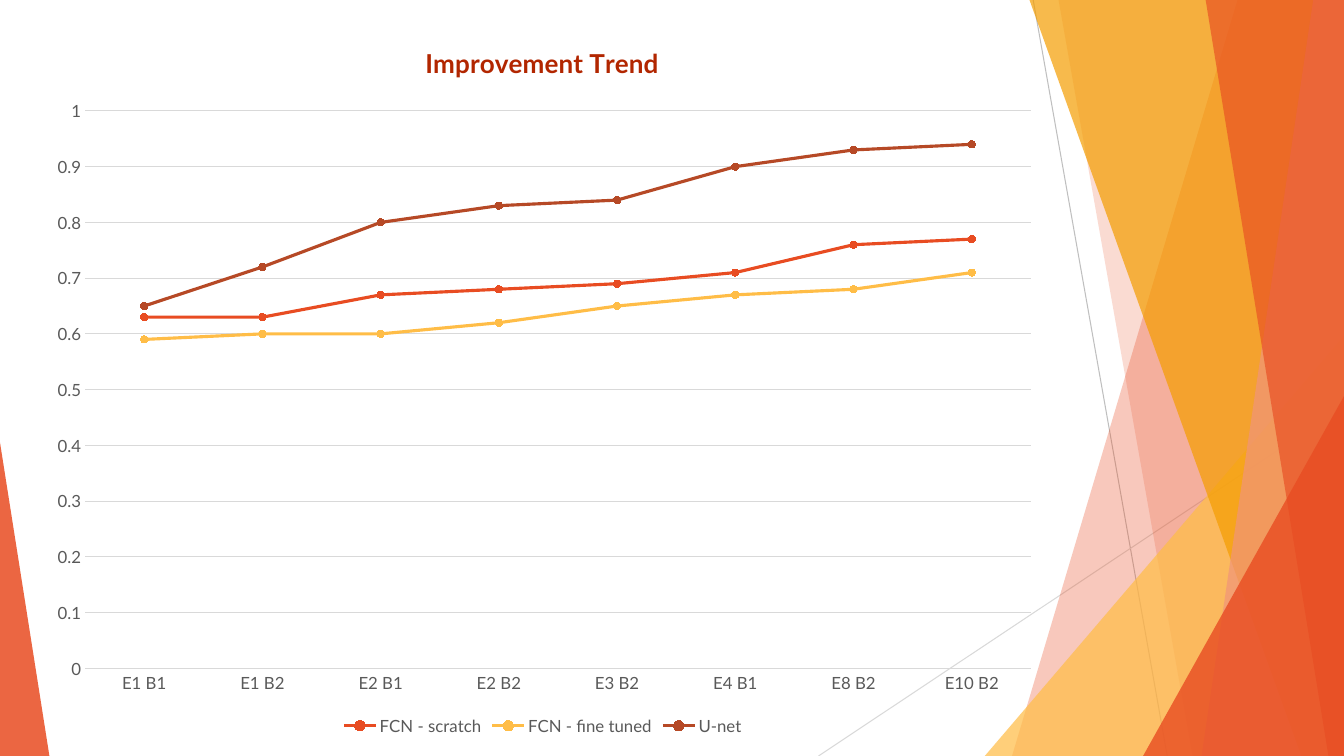
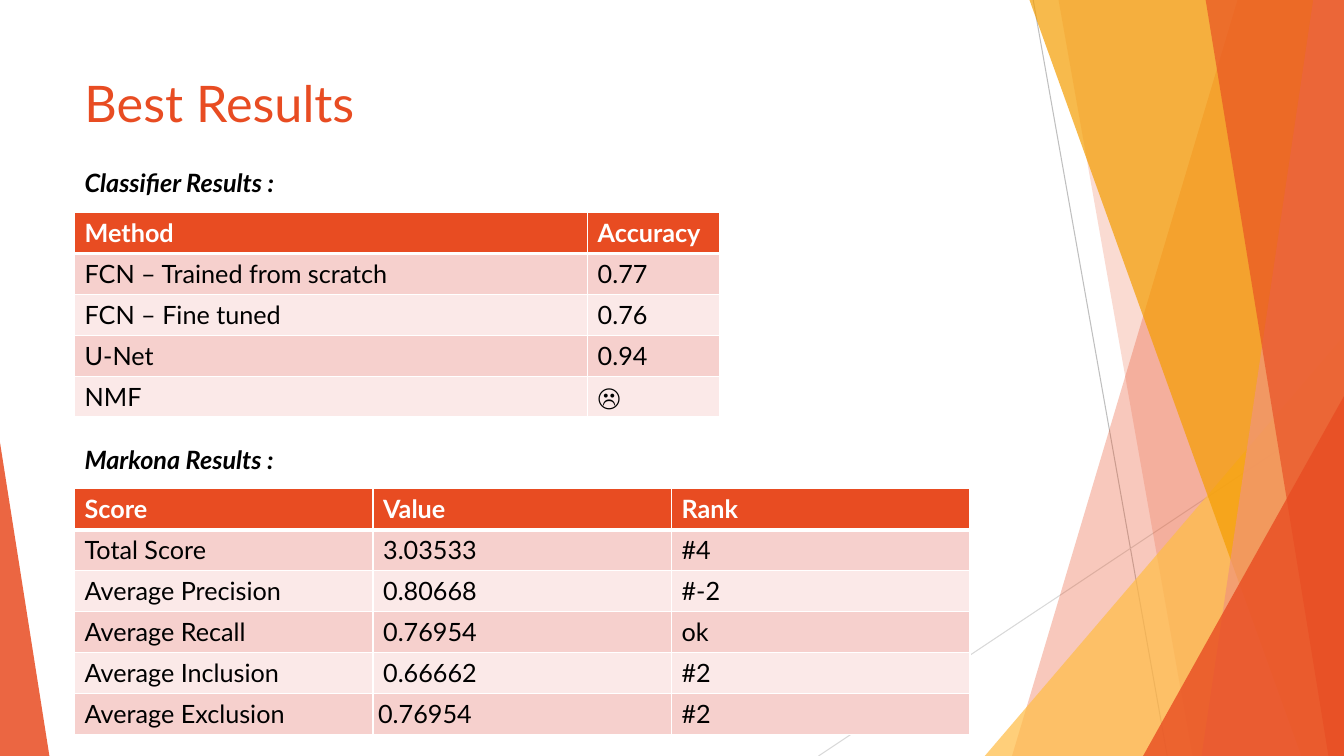
from dataclasses import dataclass

from lxml import etree
from pptx import Presentation
from pptx import util as u
from pptx.chart.chart import Chart
from pptx.chart.data import CategoryChartData
from pptx.dml.color import RGBColor
from pptx.enum import chart as ch
from pptx.enum import shapes, text
from pptx.oxml.ns import qn
from pptx.shapes.base import BaseShape
from pptx.slide import Slide
from pptx.table import _Cell

Pt = u.Pt

ORANGE = RGBColor(0xE8, 0x4C, 0x22)
YELLOW = RGBColor(0xFF, 0xBD, 0x47)
AMBER = RGBColor(0xF4, 0x9D, 0x00)
SALMON = RGBColor(0xF1, 0x94, 0x7A)
RUST = RGBColor(0xB6, 0x49, 0x26)
BRICK = RGBColor(0xB2, 0x26, 0x00)
ROW_DARK = RGBColor(0xF6, 0xD0, 0xCD)
ROW_LIGHT = RGBColor(0xFB, 0xE9, 0xE8)
WHITE = RGBColor(0xFF, 0xFF, 0xFF)
BLACK = RGBColor(0, 0, 0)
LABEL_GREY = RGBColor(0x59, 0x59, 0x59)
MID_GREY = RGBColor(0xBF, 0xBF, 0xBF)
PALE_GREY = RGBColor(0xD9, 0xD9, 0xD9)

FONT = "Lato"
WIDTH, HEIGHT = 960, 540
BAND_TOP = -0.72
MARGIN = 53.28
ROW_HEIGHT = 29.2


@dataclass(frozen=True)
class Ray:
    """A thin line across the background."""
    start: tuple[float, float]
    end: tuple[float, float]
    colour: RGBColor


@dataclass(frozen=True)
class Band:
    """A full-height strip that runs from a slanted left edge to the right edge."""
    top_x: float
    bottom_x: float
    colour: RGBColor
    opacity: int


@dataclass(frozen=True)
class Wedge:
    """A triangle on the bottom edge, its apex at the left (0) or right (1)."""
    left: float
    width: float
    height: float
    apex: float
    colour: RGBColor
    opacity: int


@dataclass(frozen=True)
class ResultTable:
    """A table of results with the caption above it."""
    caption: str
    caption_top: float
    top: float
    widths: tuple[float, ...]
    rows: tuple[tuple[str, ...], ...]


@dataclass(frozen=True)
class Trend:
    """The accuracy of one method over the training steps."""
    method: str
    colour: RGBColor
    accuracy: tuple[float, ...]


RAYS = (
    Ray((738, 0), (833.76, HEIGHT), MID_GREY),
    Ray((WIDTH, 290.16), (584.64, HEIGHT), PALE_GREY),
)
FACETS = (
    Band(884.16, 722.88, ORANGE, 30),
    Band(756, 851.76, ORANGE, 20),
    Wedge(703.44, 256.56, 300.24, 1, YELLOW, 72),
    Band(735.12, 929.52, AMBER, 70),
    Band(938.16, 858.24, SALMON, 70),
    Band(861.12, 948.96, ORANGE, 65),
    Wedge(816.48, 143.52, 257.04, 1, ORANGE, 80),
    Wedge(0, 35.28, 223.92, 0, ORANGE, 85),
)
STEPS = ("E1 B1", "E1 B2", "E2 B1", "E2 B2", "E3 B2", "E4 B1", "E8 B2", "E10 B2")
TRENDS = (
    Trend("FCN - scratch", ORANGE, (0.63, 0.63, 0.67, 0.68, 0.69, 0.71, 0.76, 0.77)),
    Trend("FCN - fine tuned", YELLOW, (0.59, 0.6, 0.6, 0.62, 0.65, 0.67, 0.68, 0.71)),
    Trend("U-net", RUST, (0.65, 0.72, 0.8, 0.83, 0.84, 0.9, 0.93, 0.94)),
)
CLASSIFIER = ResultTable(
    "Classifier Results :", 115.92, 151.92, (366.48, 94.32),
    (
        ("Method", "Accuracy"),
        ("FCN – Trained from scratch", "0.77"),
        ("FCN – Fine tuned", "0.76"),
        ("U-Net", "0.94"),
        ("NMF", "☹"),
    ),
)
GRADING = ResultTable(
    "Markona Results :", 313.92, 349.2, (213.2,) * 3,
    (
        ("Score", "Value", "Rank"),
        ("Total Score", "3.03533", "#4"),
        ("Average Precision", "0.80668", "#-2"),
        ("Average Recall", "0.76954", "ok"),
        ("Average Inclusion", "0.66662", "#2"),
        ("Average Exclusion", "0.76954", "#2"),
    ),
)


def style_font(font, size: float, colour: RGBColor, bold: bool = False,
               italic: bool = False) -> None:
    """Apply the deck's typeface with a size, colour and weight."""
    font.name, font.size = FONT, Pt(size)
    font.bold, font.italic = bold, italic
    font.color.rgb = colour


def paint(shape: BaseShape, colour: RGBColor, opacity: int) -> None:
    """Give a shape a translucent fill with no line or shadow."""
    shape.shadow.inherit = False
    shape.line.fill.background()
    shape.fill.solid()
    shape.fill.fore_color.rgb = colour
    fill_colour = shape.element.xpath("./p:spPr/a:solidFill/a:srgbClr")[0]
    etree.SubElement(fill_colour, qn("a:alpha"), val=str(opacity * 1000))


def draw_ray(slide: Slide, ray: Ray) -> None:
    """Draw one background line."""
    line = slide.shapes.add_connector(
        shapes.MSO_CONNECTOR.STRAIGHT, *map(Pt, ray.start + ray.end))
    line.line.color.rgb = ray.colour
    line.line.width = Pt(0.75)
    etree.SubElement(line.element.spPr, qn("a:effectLst"))


def draw_band(slide: Slide, band: Band) -> None:
    """Draw one slanted strip."""
    outline = slide.shapes.build_freeform(Pt(band.top_x), Pt(BAND_TOP))
    corners = ((WIDTH, BAND_TOP), (WIDTH, HEIGHT), (band.bottom_x, HEIGHT))
    outline.add_line_segments([(Pt(x), Pt(y)) for x, y in corners], close=True)
    paint(outline.convert_to_shape(), band.colour, band.opacity)


def draw_wedge(slide: Slide, wedge: Wedge) -> None:
    """Draw one triangle standing on the bottom edge."""
    triangle = slide.shapes.add_shape(
        shapes.MSO_SHAPE.ISOSCELES_TRIANGLE, Pt(wedge.left),
        Pt(HEIGHT - wedge.height), Pt(wedge.width), Pt(wedge.height))
    triangle.adjustments[0] = wedge.apex
    paint(triangle, wedge.colour, wedge.opacity)


def add_faceted_slide(deck: Presentation) -> Slide:
    """Add a blank slide with the shared background."""
    slide = deck.slides.add_slide(deck.slide_layouts[6])
    for ray in RAYS:
        draw_ray(slide, ray)
    for facet in FACETS:
        if isinstance(facet, Band):
            draw_band(slide, facet)
        else:
            draw_wedge(slide, facet)
    return slide


def add_text(slide: Slide, words: str, top: float, width: float, height: float,
             size: float, colour: RGBColor, strong: bool = False) -> None:
    """Add one line of text at the left margin, bold italic when strong."""
    frame = slide.shapes.add_textbox(
        Pt(MARGIN), Pt(top), Pt(width), Pt(height)).text_frame
    frame.word_wrap = True
    frame.text = words
    style_font(frame.paragraphs[0].font, size, colour, strong, strong)


def add_borders(cell: _Cell, top: float, bottom: float) -> None:
    """Rule a cell in white, one point at the sides."""
    properties = cell._tc.get_or_add_tcPr()
    for side, weight in (("L", 1), ("R", 1), ("T", top), ("B", bottom)):
        line = etree.SubElement(properties, qn(f"a:ln{side}"), w=str(Pt(weight)))
        fill = etree.SubElement(line, qn("a:solidFill"))
        etree.SubElement(fill, qn("a:srgbClr"), val=str(WHITE))


def draw_results(slide: Slide, results: ResultTable) -> None:
    """Draw a captioned table with a solid header and banded rows."""
    rows, widths = results.rows, results.widths
    table = slide.shapes.add_table(
        len(rows), len(widths), Pt(MARGIN), Pt(results.top),
        Pt(sum(widths)), Pt(ROW_HEIGHT * len(rows))).table
    for column, width in zip(table.columns, widths):
        column.width = Pt(width)
    for r, values in enumerate(rows):
        table.rows[r].height = Pt(ROW_HEIGHT)
        header = r == 0
        band = ORANGE if header else ROW_DARK if r % 2 else ROW_LIGHT
        for c, value in enumerate(values):
            cell = table.cell(r, c)
            cell.text = value
            style_font(cell.text_frame.paragraphs[0].font, 18,
                       WHITE if header else BLACK, header)
            add_borders(cell, 3 if r == 1 else 1, 3 if header else 1)
            cell.fill.solid()
            cell.fill.fore_color.rgb = band
    add_text(slide, results.caption, results.caption_top, 170, 28.8, 18, BLACK, True)
    if results is GRADING:
        exclusion = table.cell(len(rows) - 1, 1)
        exclusion.vertical_anchor = text.MSO_ANCHOR.MIDDLE
        exclusion.margin_left = exclusion.margin_right = Pt(3.6)


def place(part, inner: bool = False, **fractions: float) -> None:
    """Fix a chart part at fractions of the chart area."""
    layout = part.find(qn("c:layout"))
    if layout is None:
        layout = part.makeelement(qn("c:layout"), {})
        tx = part.find(qn("c:tx"))
        part.insert(0 if tx is None else 1, layout)
    manual = etree.SubElement(layout, qn("c:manualLayout"))
    if inner:
        etree.SubElement(manual, qn("c:layoutTarget"), val="inner")
    for axis in "xy":
        etree.SubElement(manual, qn(f"c:{axis}Mode"), val="edge")
    for name, fraction in fractions.items():
        etree.SubElement(manual, qn(f"c:{name}"), val=str(fraction))


def style_axes(chart: Chart) -> None:
    """Set the scale, labels and gridlines of both axes."""
    steps, accuracy = chart.category_axis, chart.value_axis
    for axis in (steps, accuracy):
        axis.major_tick_mark = axis.minor_tick_mark = ch.XL_TICK_MARK.NONE
        style_font(axis.tick_labels.font, 12, LABEL_GREY)
    accuracy.minimum_scale, accuracy.maximum_scale = 0, 1
    accuracy.major_unit = 0.1
    accuracy.tick_labels.number_format = "General"
    accuracy.tick_labels.number_format_is_linked = False
    accuracy.format.line.fill.background()
    for line in (steps.format.line, accuracy.major_gridlines.format.line):
        line.color.rgb = PALE_GREY
        line.width = Pt(0.75)


def draw_trends(slide: Slide) -> None:
    """Draw the line chart of accuracy per method."""
    data = CategoryChartData()
    data.categories = STEPS
    for trend in TRENDS:
        data.add_series(trend.method, trend.accuracy)
    chart = slide.shapes.add_chart(
        ch.XL_CHART_TYPE.LINE_MARKERS, Pt(24.48), Pt(18), Pt(726.48), Pt(510.48),
        data).chart
    style_font(chart.font, 10, BLACK)
    chart.plots[0].vary_by_categories = False
    for series, trend in zip(chart.plots[0].series, TRENDS):
        series.smooth = False
        series.format.line.color.rgb = trend.colour
        series.format.line.width = Pt(2.25)
        series.marker.style = ch.XL_MARKER_STYLE.CIRCLE
        series.marker.size = 5
        series.marker.format.fill.solid()
        series.marker.format.fill.fore_color.rgb = trend.colour
        series.marker.format.line.color.rgb = trend.colour
    style_axes(chart)
    chart.has_legend = True
    chart.legend.position = ch.XL_LEGEND_POSITION.BOTTOM
    chart.legend.include_in_layout = False
    style_font(chart.legend.font, 12, LABEL_GREY)
    heading = chart.chart_title.text_frame
    heading.text = "Improvement Trend"
    style_font(heading.paragraphs[0].font, 18.6, BRICK, True)
    place(chart.element.xpath("./c:chart/c:title")[0], x=0.38, y=0.02)
    place(chart.element.xpath("./c:chart/c:plotArea")[0], True,
          x=0.05, y=0.12, w=0.93, h=0.78)


deck = Presentation()
deck.slide_width, deck.slide_height = Pt(WIDTH), Pt(HEIGHT)

draw_trends(add_faceted_slide(deck))

best_results = add_faceted_slide(deck)
add_text(best_results, "Best Results", 48.24, 676.8, 103.68, 36, ORANGE)
for results in (CLASSIFIER, GRADING):
    draw_results(best_results, results)

deck.save("out.pptx")
